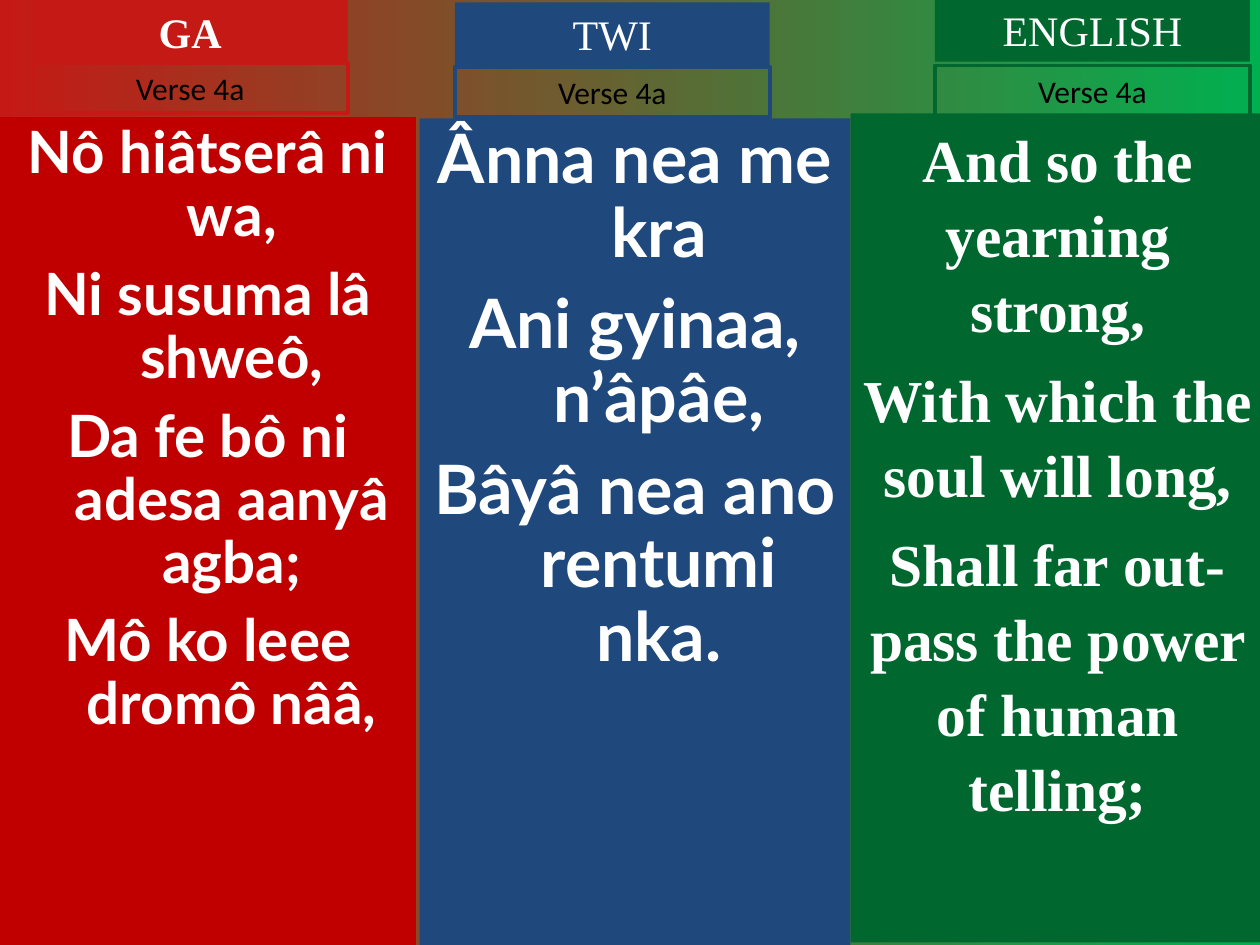
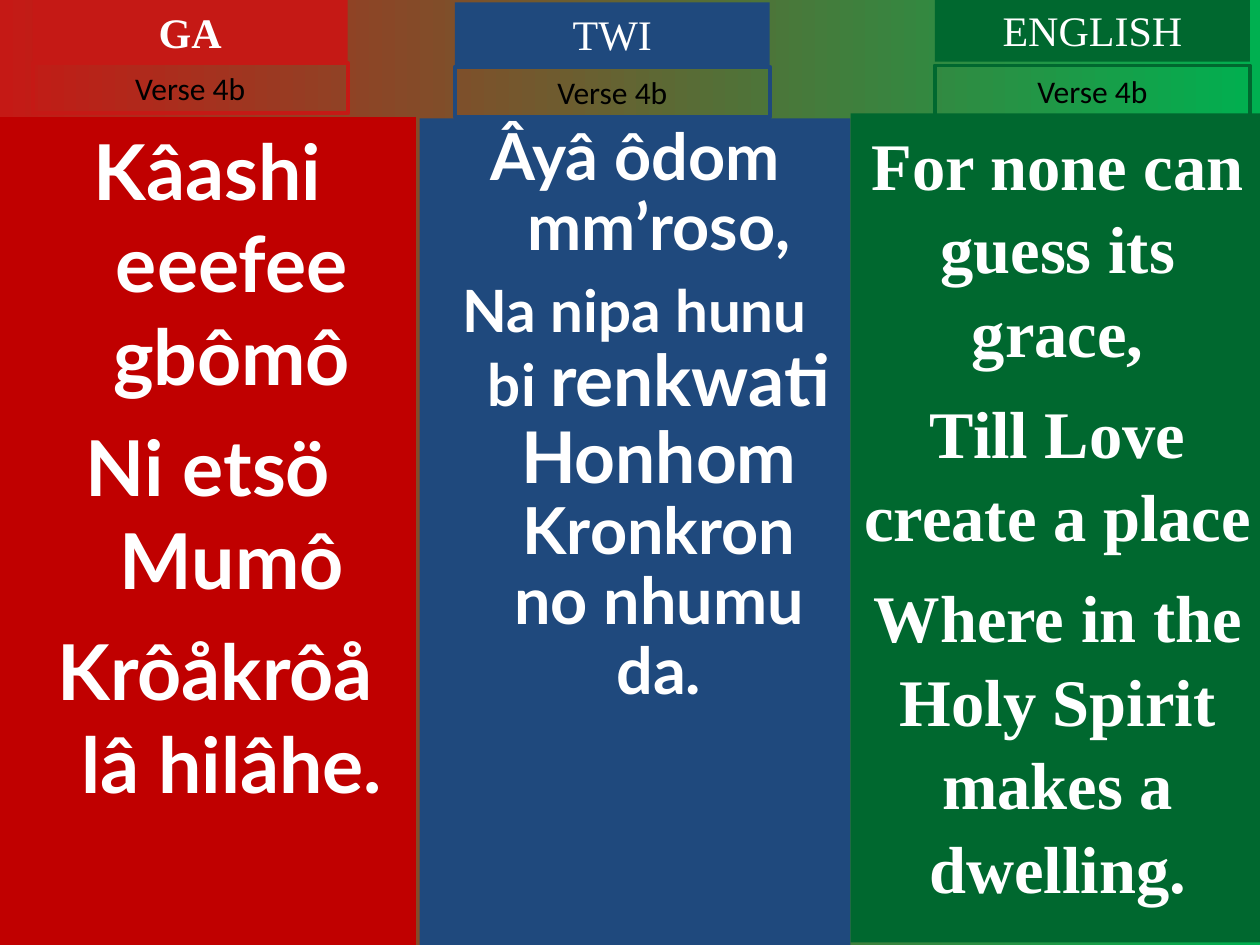
from dataclasses import dataclass

from lxml.etree import SubElement
from pptx import Presentation
from pptx.dml.color import RGBColor
from pptx.enum.text import MSO_ANCHOR, MSO_AUTO_SIZE, PP_ALIGN
from pptx.oxml.ns import qn
from pptx.util import Emu, Pt

EMU_PER_PX = 9144  # 100 px to the inch


def px(n):
    return Emu(n * EMU_PER_PX)


# Theme: colours, fonts and type sizes
@dataclass(frozen=True)
class Theme:
    red: str = "C51915"
    deep_red: str = "C00000"
    blue: str = "1F497D"
    green: str = "00682F"
    bright_green: str = "00B050"
    white: str = "FFFFFF"
    black: str = "000000"
    serif: str = "Times New Roman"
    lyric: str = "Lato"
    sans: str = "Calibri"
    heading: int = 24
    label: int = 18
    outline: float = 2.25


T = Theme()


@dataclass(frozen=True)
class Column:
    name: str
    accent: str
    panel_fill: str
    panel: tuple      # left, top, width, height
    heading: tuple    # left, top
    label_top: int
    font: str
    bold_heading: bool = False
    placeholder: int = 0
    hang: int = 0


COLUMNS = [
    Column("GA", T.red, T.deep_red, (0, 93, 330, 657), (26, 0), 50,
           T.lyric, bold_heading=True, placeholder=1, hang=38),
    Column("TWI", T.blue, T.blue, (333, 94, 342, 656), (361, 2), 53,
           T.lyric, placeholder=2, hang=38),
    Column("ENGLISH", T.green, T.green, (675, 90, 329, 658), (742, -1), 52,
           T.serif),
]
HEADING_SIZE = (250, 50)
LABEL_SIZE = (250, 40)


@dataclass(frozen=True)
class Verse:
    size: float
    before: float
    spacing: float
    lines: tuple      # each line is a text, or a list of (text, size) runs
    last_shift: int = 0


VERSES = {
    "Verse 4a": [
        Verse(33.3, 9, 0.9, ("Nô hiâtserâ ni wa,", "Ni susuma lâ shweô,",
                             "Da fe bô ni adesa aanyâ agba;",
                             "Mô ko leee dromô nââ,")),
        Verse(38.9, 10.5, 0.9, ("Ânna nea me kra", "Ani gyinaa, n’âpâe,",
                                "Bâyâ nea ano rentumi nka.")),
        Verse(34, 8.5, 1.05, ("And so the yearning strong,",
                              "With which the soul will long,",
                              "Shall far out-pass the power of human telling;")),
    ],
    "Verse 4b": [
        Verse(44, 11, 1.0, ("Kâashi eeefee gbômô", "Ni etsö Mumô",
                            "Krôåkrôå lâ hilâhe."), last_shift=12),
        Verse(37, 10, 0.9, ("Âyâ ôdom mm’roso,",
                            [("Na nipa hunu bi ", 33.3),
                             ("renkwati Honhom ", 40.7),
                             ("Kronkron no nhumu da.", 37)])),
        Verse(38, 9.5, 1.05, ("For none can guess its grace,",
                              "Till Love create a place",
                              "Where in the Holy Spirit makes a dwelling.")),
    ],
}


# Shared helpers
def rgb(color):
    return RGBColor.from_string(color)


def add_run(p, text, size, font, color, bold):
    r = p.add_run()
    r.text = text
    r.font.size, r.font.name, r.font.bold = Pt(size), font, bold
    r.font.color.rgb = rgb(color)


def set_box(sp, box, auto_size=MSO_AUTO_SIZE.NONE):
    sp.left, sp.top, sp.width, sp.height = map(px, box)
    tf = sp.text_frame
    tf.word_wrap = True
    tf.auto_size = auto_size
    tf.vertical_anchor = MSO_ANCHOR.TOP
    return tf


def fill(sp, color):
    sp.fill.solid()
    sp.fill.fore_color.rgb = rgb(color)


def set_background(slide):
    gradient = slide.background.fill
    gradient.gradient()
    gradient.gradient_angle = 0
    for stop, color in zip(gradient.gradient_stops, (T.red, T.bright_green)):
        stop.color.rgb = rgb(color)


# Element kinds
def add_caption(slide, box, text, size, font, color, bold=False):
    sp = slide.shapes.add_textbox(0, 0, 0, 0)
    p = set_box(sp, box, MSO_AUTO_SIZE.SHAPE_TO_FIT_TEXT).paragraphs[0]
    p.alignment = PP_ALIGN.CENTER
    add_run(p, text, size, font, color, bold)
    return sp


def add_heading(slide, col):
    sp = add_caption(slide, col.heading + HEADING_SIZE, col.name,
                     T.heading, T.serif, T.white, col.bold_heading)
    fill(sp, col.accent)


def add_label(slide, col, text):
    sp = add_caption(slide, (col.heading[0], col.label_top) + LABEL_SIZE, text,
                     T.label, T.sans, T.black)
    sp.line.color.rgb = rgb(col.accent)
    sp.line.width = Pt(T.outline)


def format_line(p, col, verse, first, last):
    p.alignment = PP_ALIGN.CENTER
    p.line_spacing = verse.spacing
    p.space_before = Pt(0 if first else verse.before)
    pPr = p._p.get_or_add_pPr()
    pPr.set("marL", str(px(col.hang)))
    pPr.set("indent", str(px((verse.last_shift if last else 0) - col.hang)))
    SubElement(pPr, qn("a:buNone"))


def add_panel(slide, col, verse):
    if col.placeholder:
        sp = slide.placeholders[col.placeholder]
    else:
        sp = slide.shapes.add_textbox(0, 0, 0, 0)
    tf = set_box(sp, col.panel)
    fill(sp, col.panel_fill)
    for i, line in enumerate(verse.lines):
        p = tf.add_paragraph() if i else tf.paragraphs[0]
        format_line(p, col, verse, i == 0, i == len(verse.lines) - 1)
        runs = [(line, verse.size)] if isinstance(line, str) else line
        for text, size in runs:
            add_run(p, text, size, col.font, T.white, True)


def add_verse_slide(prs, label, verses):
    slide = prs.slides.add_slide(prs.slide_layouts.get_by_name("Two Content"))
    title = slide.shapes.title._element
    title.getparent().remove(title)
    set_background(slide)
    for col, verse in zip(COLUMNS, verses):
        add_panel(slide, col, verse)
        add_heading(slide, col)
        add_label(slide, col, label)


def main():
    prs = Presentation()
    prs.slide_width, prs.slide_height = px(1000), px(750)
    for label, verses in VERSES.items():
        add_verse_slide(prs, label, verses)
    prs.save("out.pptx")


if __name__ == "__main__":
    main()
